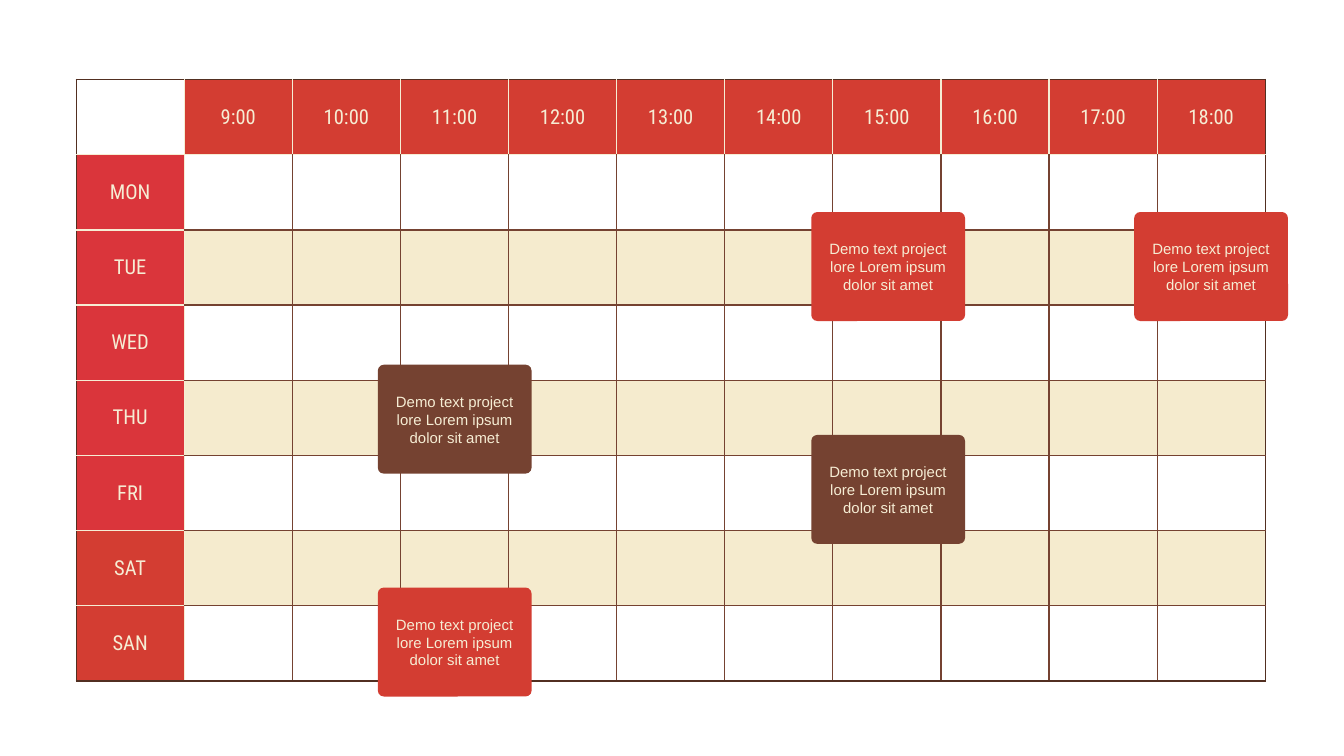
import dataclasses

import lxml.etree
import pptx
import pptx.dml.color
import pptx.enum.shapes
import pptx.enum.text
import pptx.oxml.ns
import pptx.util

Pt = pptx.util.Pt
qn = pptx.oxml.ns.qn

RED, CRIMSON, BROWN, DARK = "D33D32", "DA353B", "754231", "522F21"
CREAM, SAND = "F6EDD4", "EDD89E"

HOURS = [f"{hour}:00" for hour in range(9, 19)]
DAYS = ["MON", "TUE", "WED", "THU", "FRI", "SAT", "SAN"]
COLS, ROWS = len(HOURS) + 1, len(DAYS) + 1
LEFT, TOP, COL_W, ROW_H = 40.8, 42.6, 57.92, 40.3
EVENT_W, EVENT_H = 82.4, 58.4
EVENT_TEXT = "Demo text project lore Lorem ipsum dolor sit amet"


@dataclasses.dataclass
class Event:
    left: float
    top: float
    color: str


EVENTS = [
    Event(434.6, 113.6, RED),
    Event(202.4, 195.4, BROWN),
    Event(434.6, 233, BROWN),
    Event(202.4, 314.8, RED),
    Event(607.6, 113.6, RED),
]


def paint(fill, color: str, alpha: int = 100) -> None:
    fill.solid()
    fill.fore_color.rgb = pptx.dml.color.RGBColor.from_string(color)
    if alpha < 100:
        clr = fill._xPr.find(qn("a:solidFill")).find(qn("a:srgbClr"))
        lxml.etree.SubElement(clr, qn("a:alpha"), val=str(alpha * 1000))


def write(tf, text: str, font: str, size: float) -> None:
    p = tf.paragraphs[0]
    p.text = text
    p.alignment = pptx.enum.text.PP_ALIGN.CENTER
    p.font.name = font
    p.font.size = Pt(size)
    paint(p.font.fill, CREAM)


def border_color(edge: int, last: int, beside_header: bool) -> str:
    """Dark outside, cream along the header cells, brown elsewhere."""
    if edge in (0, last):
        return DARK
    return CREAM if edge == 1 or beside_header else BROWN


def add_borders(cell, row: int, col: int) -> None:
    tcPr = cell._tc.get_or_add_tcPr()
    colors = {
        "lnL": border_color(col, COLS, row == 0),
        "lnR": border_color(col + 1, COLS, row == 0),
        "lnT": border_color(row, ROWS, col == 0),
        "lnB": border_color(row + 1, ROWS, col == 0),
    }
    for side, color in colors.items():
        ln = lxml.etree.SubElement(tcPr, qn(f"a:{side}"), w=str(Pt(0.75)))
        fill = lxml.etree.SubElement(ln, qn("a:solidFill"))
        lxml.etree.SubElement(fill, qn("a:srgbClr"), val=color)


def fill_cell(cell, row: int, col: int) -> None:
    if row == 0 and col > 0:
        paint(cell.fill, RED)
    elif col == 0 and row > 0:
        paint(cell.fill, CRIMSON if row <= 5 else RED)
    elif row > 0 and row % 2 == 0:
        paint(cell.fill, SAND, 50)
    else:
        cell.fill.background()


def add_timetable(s) -> None:
    table = s.shapes.add_table(
        ROWS, COLS, Pt(LEFT), Pt(TOP), Pt(COL_W * COLS), Pt(ROW_H * ROWS)
    ).table
    table.first_row = table.horz_banding = False
    for column in table.columns:
        column.width = Pt(COL_W)
    for table_row in table.rows:
        table_row.height = Pt(ROW_H)

    for row in range(ROWS):
        for col in range(COLS):
            cell = table.cell(row, col)
            add_borders(cell, row, col)
            fill_cell(cell, row, col)
            cell.margin_left = cell.margin_right = Pt(2.7)
            cell.margin_top = cell.margin_bottom = Pt(1.35)
            cell.vertical_anchor = pptx.enum.text.MSO_ANCHOR.MIDDLE
            if (row == 0) != (col == 0):
                text = HOURS[col - 1] if row == 0 else DAYS[row - 1]
                write(cell.text_frame, text, "Roboto Condensed", 11)


def add_event(s, event: Event) -> None:
    sp = s.shapes.add_shape(
        pptx.enum.shapes.MSO_SHAPE.ROUNDED_RECTANGLE,
        Pt(event.left), Pt(event.top), Pt(EVENT_W), Pt(EVENT_H),
    )
    sp.adjustments[0] = 0.056
    sp.shadow.inherit = False
    paint(sp.fill, event.color)
    sp.line.fill.background()
    tf = sp.text_frame
    tf.word_wrap = True
    tf.vertical_anchor = pptx.enum.text.MSO_ANCHOR.MIDDLE
    tf.margin_left = tf.margin_right = Pt(1.8)
    tf.margin_top = tf.margin_bottom = Pt(1.8)
    write(tf, EVENT_TEXT, "Arial", 8)


def main() -> None:
    prs = pptx.Presentation()
    prs.slide_width, prs.slide_height = Pt(720), Pt(405)
    s = prs.slides.add_slide(prs.slide_layouts[6])

    # Weekly grid
    add_timetable(s)

    # Events on top of the grid
    for event in EVENTS:
        add_event(s, event)

    prs.save("out.pptx")


if __name__ == "__main__":
    main()
